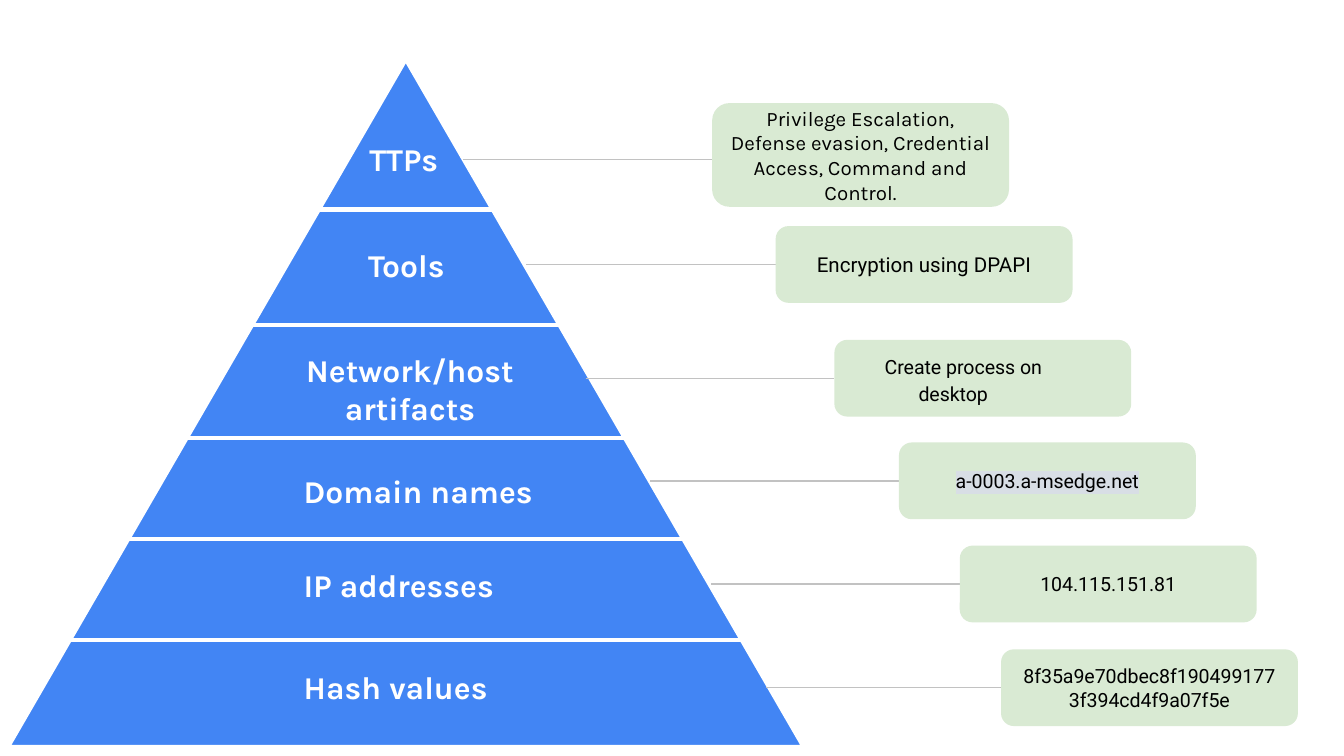
from lxml.etree import SubElement
from pptx import Presentation
from pptx.dml.color import RGBColor
from pptx.enum.shapes import MSO_CONNECTOR as Link, MSO_SHAPE as Shape
from pptx.enum.text import MSO_ANCHOR as Anchor, PP_ALIGN as Align
from pptx.oxml import parse_xml
from pptx.oxml.ns import nsdecls, qn
from pptx.util import Cm, Pt

COLORS = {"pyramid": "4285F4", "white": "FFFFFF", "box": "D9EAD3",
          "link": "C2C2C2", "text": "000000", "highlight": "D8DEE5"}

# Pyramid levels: text, left, top, width, height, alignment (cm)
LEVELS = [
    ("TTPs", 6.73, 2.39, 2.24, 1.24, Align.LEFT),
    ("Tools", 6.71, 4.39, 2.24, 1.24, Align.LEFT),
    ("Network/host artifacts", 4.98, 6.38, 5.54, 1.96, Align.CENTER),
    ("Domain names", 5.49, 8.66, 5.69, 1.24, Align.LEFT),
    ("IP addresses", 5.49, 10.44, 5.69, 1.24, Align.LEFT),
    ("Hash values", 5.49, 12.37, 5.69, 1.24, Align.LEFT),
]

# Example boxes: text, left, middle, height, link start, link height (cm), format
EXAMPLES = [
    ("Privilege Escalation, Defense evasion, Credential Access, Command and Control.",
     13.46, 2.93, 1.96, 8.76, 3.02, {"name": "Karla", "size": Pt(11)}),
    ("Encryption using DPAPI", 14.66, 5, 1.45, 9.94, 5, {"size": Pt(11)}),
    ("Create process on desktop", 15.77, 7.15, 1.45, 11.07, 7.15, {}),
    ("a-0003.a-msedge.net", 16.99, 9.09, 1.45, 12.29, 9.09, {}),
    ("104.115.151.81", 18.14, 11.04, 1.45, 13.44, 11.04, {}),
    ("8f35a9e70dbec8f1904991773f394cd4f9a07f5e", 18.92, 13, 1.45, 14.48, 13, {}),
]
INDENTED, HIGHLIGHTED = 2, 3

TRIANGLE = {"left": 0.15, "top": 1.12, "width": 15.04, "height": 13}
DIVIDERS = [3.96, 6.15, 8.28, 10.19, 12.09]
BOX_WIDTH = 5.61
INSET = Cm(0.25)
LABEL_FONT = {"name": "Karla", "size": Pt(17), "bold": True}
BOX_FONT = {"name": "Roboto", "size": Pt(10.5)}


def color(name):
    return RGBColor.from_string(COLORS[name])


def add_line(shapes, kind, start, end, y, color_name, weight):
    line = shapes.add_connector(kind, Cm(start), Cm(y), Cm(end), Cm(y))
    line.line.color.rgb = color(color_name)
    line.line.width = Pt(weight)
    SubElement(line._element.spPr, qn("a:effectLst"))


def add_block(shapes, kind, left, top, width, height, fill):
    block = shapes.add_shape(kind, Cm(left), Cm(top), Cm(width), Cm(height))
    block.shadow.inherit = False
    block.fill.solid()
    block.fill.fore_color.rgb = color(fill)
    return block


def write(shape, text, alignment, anchor, color_name, font_format):
    frame = shape.text_frame
    frame.word_wrap = True
    frame.vertical_anchor = anchor
    for side in ("left", "right", "top", "bottom"):
        setattr(frame, f"margin_{side}", INSET)
    paragraph = frame.paragraphs[0]
    paragraph.alignment = alignment
    run = paragraph.add_run()
    run.text = text
    for name, value in font_format.items():
        setattr(run.font, name, value)
    run.font.color.rgb = color(color_name)
    return paragraph


presentation = Presentation()
presentation.slide_width, presentation.slide_height = Cm(25.4), Cm(14.29)
slide = presentation.slides.add_slide(presentation.slide_layouts[6])

# Pyramid, with dividers that run from edge to edge
pyramid = slide.shapes.add_group_shape().shapes
triangle = add_block(pyramid, Shape.ISOSCELES_TRIANGLE, *TRIANGLE.values(), "pyramid")
triangle.line.color.rgb = color("white")
triangle.line.width = Pt(2.25)
center = TRIANGLE["left"] + TRIANGLE["width"] / 2
for y in DIVIDERS:
    half = (y - TRIANGLE["top"]) / TRIANGLE["height"] * TRIANGLE["width"] / 2
    add_line(pyramid, Link.STRAIGHT, center - half, center + half, y, "white", 2.25)

# Level names
for text, left, top, width, height, alignment in LEVELS:
    label = slide.shapes.add_textbox(Cm(left), Cm(top), Cm(width), Cm(height))
    write(label, text, alignment, Anchor.TOP, "white", LABEL_FONT)

# Example boxes and their links
for index, (text, left, middle, height, start, link_y, extra) in enumerate(EXAMPLES):
    add_line(slide.shapes, Link.ELBOW, start, left, link_y, "link", 0.75)
    box = add_block(slide.shapes, Shape.ROUNDED_RECTANGLE, left, middle - height / 2,
                    BOX_WIDTH, height, "box")
    box.line.fill.background()
    alignment = Align.LEFT if index == INDENTED else Align.CENTER
    paragraph = write(box, text, alignment, Anchor.MIDDLE, "text", BOX_FONT | extra)
    if index == INDENTED:
        paragraph.line_spacing = 1.15
        properties = paragraph._p.get_or_add_pPr()
        properties.set("marL", str(Cm(1.27)))
        properties.set("indent", str(-Cm(0.64)))
    if index == HIGHLIGHTED:
        fill = paragraph.runs[0]._r.rPr.find(qn("a:solidFill"))
        fill.addnext(parse_xml(f'<a:highlight {nsdecls("a")}>'
                               f'<a:srgbClr val="{COLORS["highlight"]}"/></a:highlight>'))

presentation.save("out.pptx")
